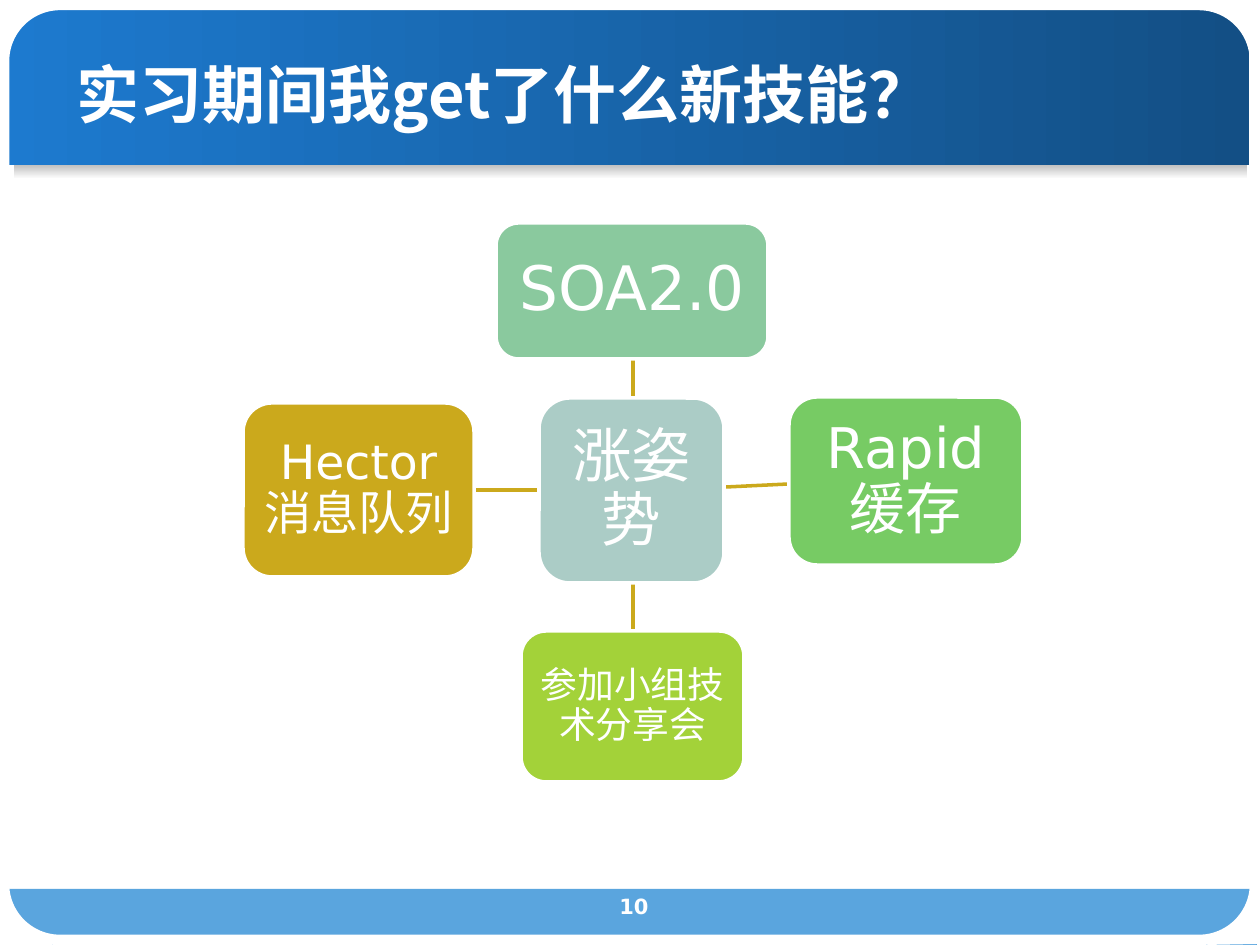
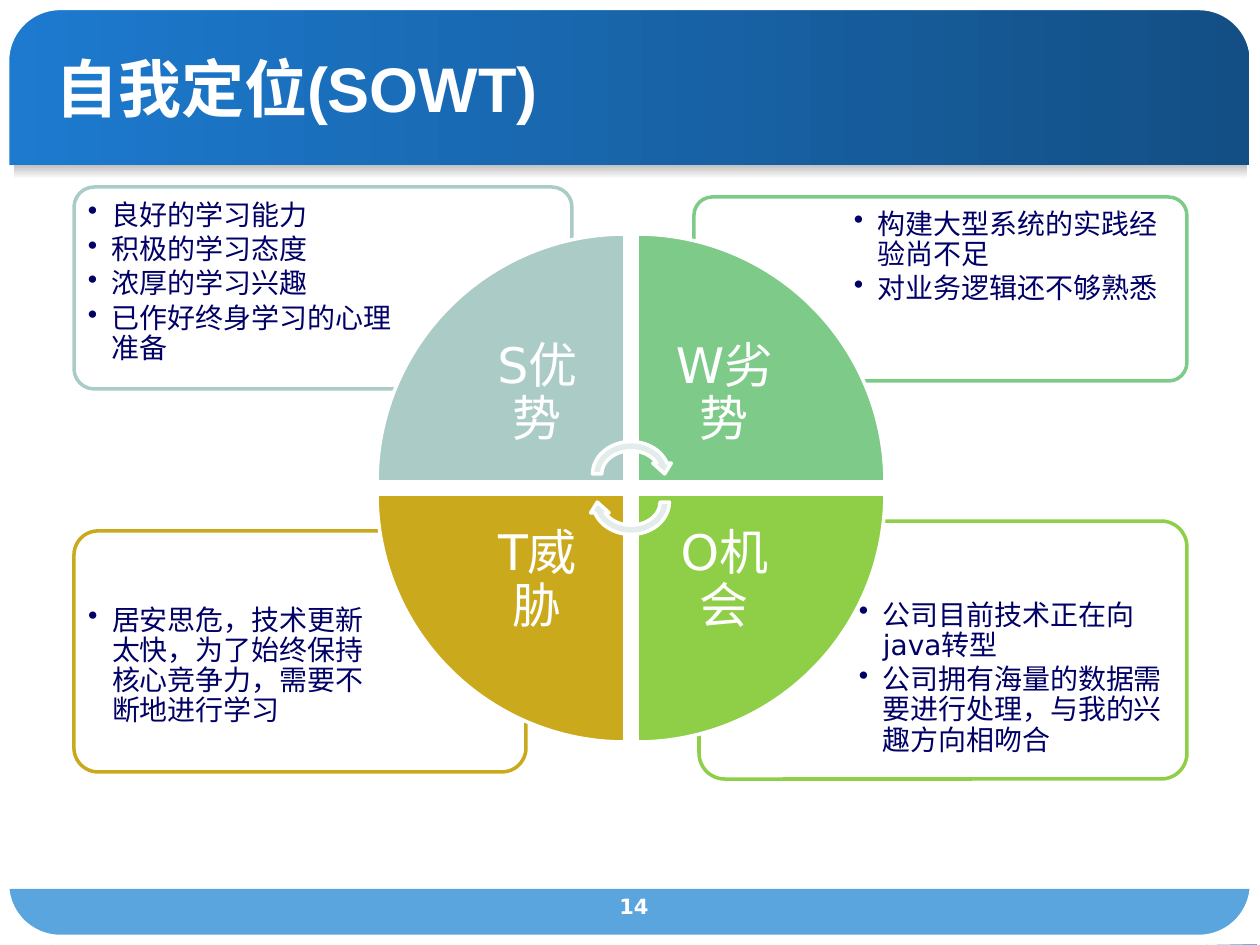
from lxml import etree
from pptx import Presentation
from pptx.dml.color import RGBColor
from pptx.enum.shapes import MSO_CONNECTOR, MSO_SHAPE
from pptx.enum.text import MSO_ANCHOR, MSO_AUTO_SIZE, PP_ALIGN
from pptx.oxml.ns import qn
from pptx.util import Pt

PX = 914400 / 126  # EMU per px
SLIDE_W, SLIDE_H = 1260, 945

RECT, ROUND = MSO_SHAPE.RECTANGLE, MSO_SHAPE.ROUNDED_RECTANGLE
WEDGE, CYCLE_ARROW = MSO_SHAPE.PIE_WEDGE, MSO_SHAPE.CIRCULAR_ARROW
STRAIGHT = MSO_CONNECTOR.STRAIGHT
LEFT, CENTER = PP_ALIGN.LEFT, PP_ALIGN.CENTER
TOP, MIDDLE = MSO_ANCHOR.TOP, MSO_ANCHOR.MIDDLE
NO_FIT = MSO_AUTO_SIZE.NONE

WHITE = RGBColor(0xFF, 0xFF, 0xFF)
BAND_START = RGBColor(0x1D, 0x7A, 0xCF)
BAND_END = RGBColor(0x13, 0x4F, 0x85)
FOOTER_BLUE = RGBColor(0x5A, 0xA5, 0xDE)
SHADOW_GREY = RGBColor(0xC0, 0xC0, 0xC0)
NAVY = RGBColor(0x00, 0x00, 0x66)
TEAL = RGBColor(0xAB, 0xCC, 0xC6)
SEA_GREEN = RGBColor(0x8A, 0xC9, 0x9E)
LEAF_GREEN = RGBColor(0x77, 0xCB, 0x64)
LIME = RGBColor(0xA3, 0xD2, 0x39)
GOLD = RGBColor(0xCB, 0xA9, 0x1C)
MINT = RGBColor(0x7D, 0xCA, 0x89)
GRASS = RGBColor(0x8F, 0xCF, 0x48)
PALE = RGBColor(0xE2, 0xEC, 0xEA)

BODY_FONT, CJK_FONT, TITLE_LATIN = "DejaVu Sans", "Noto Sans CJK SC", "Arial"

CORNERS = [
    [(-1, 62), (16, 32), (34, 8), (60, 0), (-2, 0)],
    [(53, 945), (25, 924), (5, 903), (-1, 872), (-1, 945)],
    [(1260, 881), (1245, 912), (1229, 936), (1206, 945), (1261, 944)],
    [(1197, 0), (1229, 18), (1252, 37), (1260, 63), (1260, 0)],
]


def emu(*lengths):
    return [round(v * PX) for v in lengths]


def paint(sp, fill=None, line=None, width=2):
    """Give a shape a flat fill and line; None means none."""
    sp.shadow.inherit = False
    if fill is None:
        sp.fill.background()
    else:
        sp.fill.solid()
        sp.fill.fore_color.rgb = fill
    if line is None:
        sp.line.fill.background()
    else:
        sp.line.color.rgb = line
        sp.line.width = Pt(width)


def add_shape(s, kind, box, fill=None, line=None, width=2):
    sp = s.shapes.add_shape(kind, *emu(*box))
    paint(sp, fill, line, width)
    return sp


def set_gradient(sp, start, end, angle):
    sp.fill.gradient()
    sp.fill.gradient_angle = angle
    for stop, color in zip(sp.fill.gradient_stops, (start, end)):
        stop.color.rgb = color


def set_frame(tf, margins=(13, 6), anchor=MIDDLE):
    tf.word_wrap = True
    tf.auto_size = NO_FIT
    tf.vertical_anchor = anchor
    tf.margin_left = tf.margin_right = emu(margins[0])[0]
    tf.margin_top = tf.margin_bottom = emu(margins[1])[0]


def add_run(p, text, size, color=WHITE, font=BODY_FONT, bold=False):
    r = p.add_run()
    r.text = text
    r.font.size = Pt(size)
    r.font.bold = bold
    r.font.color.rgb = color
    r.font.name = font
    ea = etree.SubElement(r.font._element, qn("a:ea"))
    ea.set("typeface", CJK_FONT)


def add_label(tf, text, size, margin):
    """Centred white caption."""
    set_frame(tf, (margin, margin))
    p = tf.paragraphs[0]
    p.alignment = CENTER
    p.line_spacing = 0.9
    add_run(p, text, size)


def add_bullets(s, box, items, size=16):
    tf = s.shapes.add_textbox(*emu(*box)).text_frame
    set_frame(tf, (9, 9), TOP)
    for i, item in enumerate(items):
        p = tf.paragraphs[0] if i == 0 else tf.add_paragraph()
        p.line_spacing = 0.9
        p.space_after = Pt(size * 0.15)
        pPr = p._p.get_or_add_pPr()
        indent = emu(24)[0]
        pPr.set("marL", str(indent))
        pPr.set("indent", str(-indent))
        etree.SubElement(pPr, qn("a:buChar")).set("char", "•")
        add_run(p, item, size, NAVY)


def add_frame(s):
    """Title band, its shadow, footer band and the rounded white frame."""
    band = add_shape(s, RECT, (0, 1, 1249, 164))
    set_gradient(band, BAND_START, BAND_END, 0)
    add_shape(s, RECT, (0, 889, 1257, 56), FOOTER_BLUE)
    shadow = add_shape(s, RECT, (14, 165, 1233, 14))
    set_gradient(shadow, SHADOW_GREY, WHITE, 270)
    border = add_shape(s, ROUND, (4, 5, 1251, 935), None, WHITE, 6)
    border.adjustments[0] = 0.06
    for points in CORNERS:
        outline = s.shapes.build_freeform(*points[0], scale=PX)
        outline.add_line_segments(points[1:], close=True)
        paint(outline.convert_to_shape(), WHITE)


def add_page(prs, title, title_box, title_font, number):
    s = prs.slides.add_slide(prs.slide_layouts[5])
    add_frame(s)
    # Title, brought in front of the band
    sp = s.shapes.title
    sp.element.getparent().append(sp.element)
    sp.left, sp.top, sp.width, sp.height = emu(*title_box)
    set_frame(sp.text_frame)
    p = sp.text_frame.paragraphs[0]
    p.alignment = LEFT
    add_run(p, title, 36, font=title_font, bold=True)
    # Page number
    tf = s.shapes.add_textbox(*emu(571, 888, 126, 44)).text_frame
    set_frame(tf, anchor=TOP)
    p = tf.paragraphs[0]
    p.alignment = CENTER
    add_run(p, number, 12, bold=True)
    return s


def add_skill_map(s, left, top):
    """Centre node with four skills around it."""
    spokes = [
        ((390, 176), (390, 136)),
        ((483, 264), (546, 261)),
        ((390, 360), (390, 408)),
        ((296, 267), (231, 267)),
    ]
    nodes = [
        ((296, 175, 185, 185), TEAL, "涨姿势", 34, 11),
        ((253, 0, 272, 136), SEA_GREEN, "SOA2.0", 35, 12),
        ((546, 174, 234, 168), LEAF_GREEN, "Rapid缓存", 32, 11),
        ((278, 408, 223, 151), LIME, "参加小组技术分享会", 21, 8),
        ((0, 180, 231, 174), GOLD, "Hector消息队列", 27, 9),
    ]
    for (x1, y1), (x2, y2) in spokes:
        ends = emu(left + x1, top + y1, left + x2, top + y2)
        line = s.shapes.add_connector(STRAIGHT, *ends)
        line.line.color.rgb = GOLD
        line.line.width = Pt(2)
        etree.SubElement(line.element.spPr, qn("a:effectLst"))
    for (x, y, w, h), fill, text, size, margin in nodes:
        box = (left + x, top + y, w, h)
        sp = add_shape(s, ROUND, box, fill, WHITE)
        add_label(sp.text_frame, text, size, margin)


def add_swot_panels(s, left, top):
    """Outlined corner panels, each with its bullet list."""
    panels = [
        ((625, 334, 488, 258), (776, 405, 330, 183), GRASS,
         ["公司目前技术正在向java转型",
          "公司拥有海量的数据需要进行处理，与我的兴趣方向相吻合"]),
        ((0, 344, 452, 241), (5, 410, 306, 170), GOLD,
         ["居安思危，技术更新太快，为了始终保持核心竞争力，需要不断地进行学习"]),
        ((620, 10, 493, 184), (771, 14, 336, 130), MINT,
         ["构建大型系统的实践经验尚不足", "对业务逻辑还不够熟悉"]),
        ((0, 0, 498, 202), (5, 5, 340, 142), TEAL,
         ["良好的学习能力", "积极的学习态度", "浓厚的学习兴趣",
          "已作好终身学习的心理准备"]),
    ]
    for (x, y, w, h), (tx, ty, tw, th), color, items in panels:
        sp = add_shape(s, ROUND, (left + x, top + y, w, h), WHITE, color)
        sp.adjustments[0] = 0.1
        add_bullets(s, (left + tx, top + ty, tw, th), items)


def add_swot_wheel(s, left, top, size=248, pitch=260, label=175):
    """Four wedges, clockwise from top left, and the arrows at the hub."""
    wedges = [
        (0, 0, TEAL, "S优势"),
        (1, 0, MINT, "W劣势"),
        (1, 1, GRASS, "O机会"),
        (0, 1, GOLD, "T威胁"),
    ]
    for i, (col, row, color, text) in enumerate(wedges):
        x, y = left + col * pitch, top + row * pitch
        sp = add_shape(s, WEDGE, (x, y, size, size), color, WHITE)
        sp.rotation = 90 * i
        # The label sits in the corner nearest the hub
        inset = size - label
        box = (x + inset * (1 - col), y + inset * (1 - row), label, label)
        tf = s.shapes.add_textbox(*emu(*box)).text_frame
        add_label(tf, text, 28, 28)
    for dy, angle in ((203, 0), (231, 180)):
        box = (left + 211, top + dy, 86, 74)
        sp = add_shape(s, CYCLE_ARROW, box, PALE, WHITE)
        sp.rotation = angle


def main():
    prs = Presentation()
    prs.slide_width, prs.slide_height = emu(SLIDE_W, SLIDE_H)

    s = add_page(prs, "实习期间我get了什么新技能？", (64, 54, 912, 78), CJK_FONT, "10")
    add_skill_map(s, 243, 223)

    s = add_page(prs, "自我定位(SOWT)", (42, 48, 1144, 78), TITLE_LATIN, "14")
    add_swot_panels(s, 74, 187)
    add_swot_wheel(s, 377, 234)

    prs.save("out.pptx")


if __name__ == "__main__":
    main()
